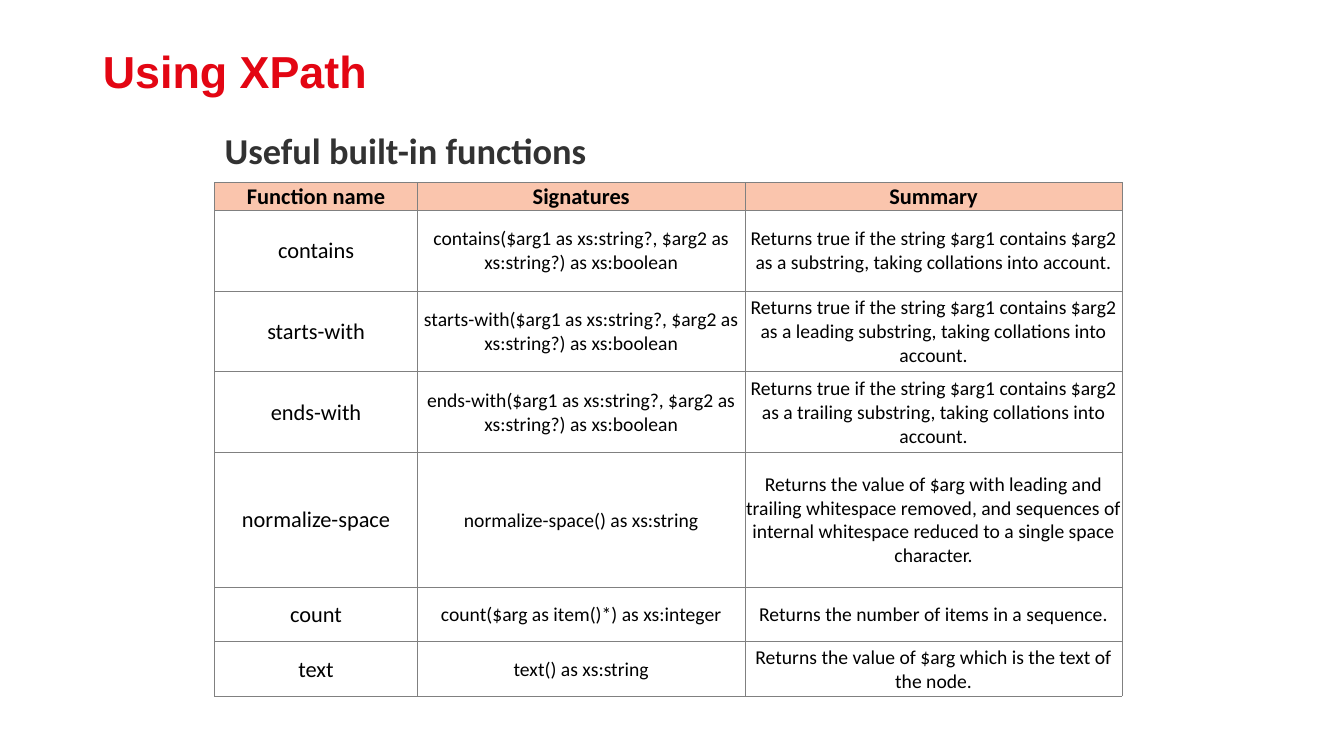
from dataclasses import dataclass

from lxml import etree
from pptx import Presentation
from pptx import util as u
from pptx.dml.color import RGBColor
from pptx.enum import text
from pptx.oxml.ns import qn

EMU_PER_PX = 9144  # 100 px to the inch


@dataclass(frozen=True)
class Theme:
    red: str = "E30613"
    dark: str = "323232"
    black: str = "000000"
    header_fill: str = "FAC5AD"
    border: str = "808080"
    border_width: float = 0.5
    title_font: str = "Arial"
    body_font: str = "Calibri"
    title_size: int = 32
    heading_size: int = 26
    name_size: int = 16
    detail_size: int = 14


THEME = Theme()

COLUMN_WIDTHS = [201, 325, 374]
ROW_HEIGHTS = [27, 80, 80, 80, 134, 54, 54]
HEADER = ["Function name", "Signatures", "Summary"]
FUNCTIONS = [
    ["contains",
     "contains($arg1 as xs:string?, $arg2 as xs:string?) as xs:boolean",
     "Returns true if the string $arg1 contains $arg2 as a substring, "
     "taking collations into account."],
    ["starts-with",
     "starts-with($arg1 as xs:string?, $arg2 as xs:string?) as xs:boolean",
     "Returns true if the string $arg1 contains $arg2 as a leading substring, "
     "taking collations into account."],
    ["ends-with",
     "ends-with($arg1 as xs:string?, $arg2 as xs:string?) as xs:boolean",
     "Returns true if the string $arg1 contains $arg2 as a trailing substring, "
     "taking collations into account."],
    ["normalize-space",
     "normalize-space() as xs:string",
     "Returns the value of $arg with leading and trailing whitespace removed, "
     "and sequences of internal whitespace reduced to a single space character."],
    ["count",
     "count($arg as item()*) as xs:integer",
     "Returns the number of items in a sequence."],
    ["text",
     "text() as xs:string",
     "Returns the value of $arg which is the text of the node."],
]


def px(length):
    return u.Emu(length * EMU_PER_PX)


def write_text(frame, content, *, size, color=THEME.black, font=THEME.body_font,
               bold=False, align=text.PP_ALIGN.LEFT,
               anchor=text.MSO_ANCHOR.TOP, line_spacing=None):
    frame.word_wrap = True
    frame.vertical_anchor = anchor
    paragraph = frame.paragraphs[0]
    paragraph.alignment = align
    if line_spacing:
        paragraph.line_spacing = line_spacing
    run = paragraph.add_run()
    run.text = content
    run.font.name = font
    run.font.size = u.Pt(size)
    run.font.bold = bold
    run.font.color.rgb = RGBColor.from_string(color)


def add_title(slide, content):
    title = slide.shapes.title
    title.left, title.top, title.width, title.height = map(px, (92, 44, 1150, 59))
    title.text_frame.auto_size = text.MSO_AUTO_SIZE.NONE
    write_text(title.text_frame, content, size=THEME.title_size, color=THEME.red,
               font=THEME.title_font, bold=True,
               anchor=text.MSO_ANCHOR.MIDDLE, line_spacing=0.9)


def add_heading(slide, content):
    box = slide.shapes.add_textbox(*map(px, (213, 122, 900, 528)))
    write_text(box.text_frame, content, size=THEME.heading_size,
               color=THEME.dark, bold=True)


def set_borders(cell):
    """Draw all four sides; call before setting the fill, which must follow in the XML."""
    properties = cell._tc.get_or_add_tcPr()
    for side in ("a:lnL", "a:lnR", "a:lnT", "a:lnB"):
        line = etree.SubElement(properties, qn(side), w=str(u.Pt(THEME.border_width)))
        fill = etree.SubElement(line, qn("a:solidFill"))
        etree.SubElement(fill, qn("a:srgbClr"), val=THEME.border)


def format_cell(cell, content, is_header, is_name):
    set_borders(cell)
    if is_header:
        cell.fill.solid()
        cell.fill.fore_color.rgb = RGBColor.from_string(THEME.header_fill)
    else:
        cell.fill.background()
    cell.margin_left = cell.margin_right = cell.margin_top = px(1)
    cell.margin_bottom = 0
    cell.vertical_anchor = text.MSO_ANCHOR.MIDDLE
    size = THEME.name_size if is_header or is_name else THEME.detail_size
    write_text(cell.text_frame, content, size=size, bold=is_header,
               align=text.PP_ALIGN.CENTER)


def add_function_table(slide):
    rows = [HEADER, *FUNCTIONS]
    frame = slide.shapes.add_table(
        len(rows), len(HEADER), px(213), px(181),
        px(sum(COLUMN_WIDTHS)), px(sum(ROW_HEIGHTS)))
    table = frame.table
    table.horz_banding = False
    for column, width in zip(table.columns, COLUMN_WIDTHS):
        column.width = px(width)
    for row, height in zip(table.rows, ROW_HEIGHTS):
        row.height = px(height)
    for row_index, row in enumerate(rows):
        for column_index, content in enumerate(row):
            format_cell(table.cell(row_index, column_index), content,
                        is_header=row_index == 0, is_name=column_index == 0)


def main():
    presentation = Presentation()
    presentation.slide_width = px(1333)
    presentation.slide_height = px(750)
    slide = presentation.slides.add_slide(presentation.slide_layouts[5])
    add_title(slide, "Using XPath")
    add_heading(slide, "Useful built-in functions")
    add_function_table(slide)
    presentation.save("out.pptx")


if __name__ == "__main__":
    main()
